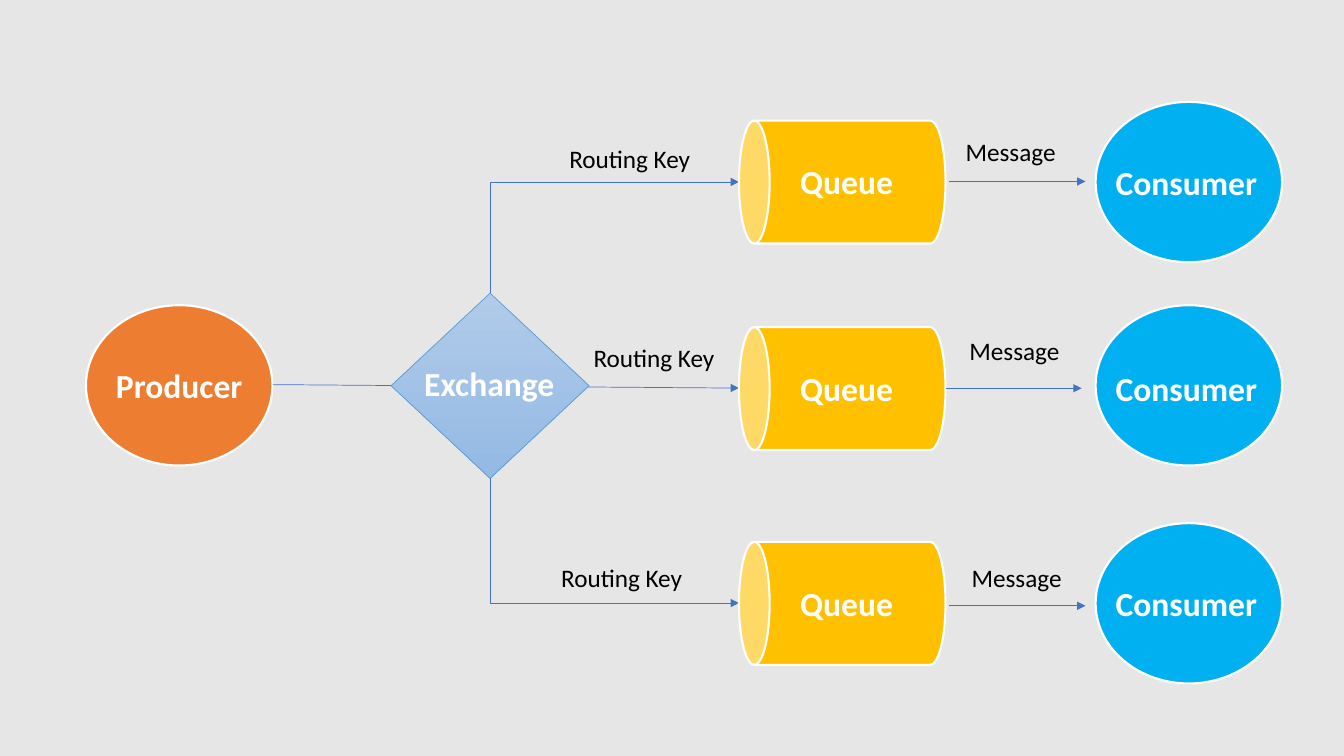
from pptx import Presentation
from pptx.dml.color import RGBColor
from pptx.enum import shapes, text
from pptx.oxml import ns
from pptx.util import Pt
from lxml import etree

BACKGROUND = RGBColor(0xE7, 0xE6, 0xE6)
WHITE = RGBColor(0xFF, 0xFF, 0xFF)
BLACK = RGBColor(0, 0, 0)
ORANGE = RGBColor(0xED, 0x7D, 0x31)
CYAN = RGBColor(0x00, 0xB0, 0xF0)
GOLD = RGBColor(0xFF, 0xC0, 0x00)
ARROW_BLUE = RGBColor(0x44, 0x72, 0xC4)
EDGE_BLUE = RGBColor(0x5B, 0x9B, 0xD5)
GRADIENT = RGBColor(0xB1, 0xCB, 0xE9), RGBColor(0x93, 0xB9, 0xE4)

SHAPE = shapes.MSO_SHAPE
LINE = shapes.MSO_CONNECTOR


def add_node(s, kind, x, y, w, h, fill=None, line=WHITE, weight=1.5):
    sp = s.shapes.add_shape(kind, Pt(x), Pt(y), Pt(w), Pt(h))
    sp.shadow.inherit = False
    if fill is not None:
        sp.fill.solid()
        sp.fill.fore_color.rgb = fill
    sp.line.color.rgb = line
    sp.line.width = Pt(weight)
    return sp


def add_label(s, words, x, y, w, size=24, color=WHITE, bold=True):
    tb = s.shapes.add_textbox(Pt(x), Pt(y), Pt(w), Pt(size * 1.2 + 7.2))
    tf = tb.text_frame
    tf.word_wrap = True
    tf.auto_size = text.MSO_AUTO_SIZE.SHAPE_TO_FIT_TEXT
    tf.text = words
    font = tf.paragraphs[0].runs[0].font
    font.name, font.size, font.bold = "Calibri", Pt(size), bold
    font.color.rgb = color


def add_caption(s, words, x, y, w):
    add_label(s, words, x, y, w, 18, BLACK, False)


def add_arrow(s, x1, y1, x2, y2, kind=LINE.STRAIGHT):
    c = s.shapes.add_connector(kind, Pt(x1), Pt(y1), Pt(x2), Pt(y2))
    c.line.color.rgb = ARROW_BLUE
    c.line.width = Pt(0.5)
    tail = etree.SubElement(c.line._get_or_add_ln(), ns.qn("a:tailEnd"))
    tail.set("type", "triangle")
    etree.SubElement(c._element.spPr, ns.qn("a:effectLst"))
    return c


def add_corner_arrow(s, x1, y1, x2, y2):
    cx, cy = (x1 + x2) / 2, (y1 + y2) / 2
    half_w, half_h = abs(y2 - y1) / 2, (x2 - x1) / 2
    side, angle = (1, 90) if y2 < y1 else (-1, 270)
    c = add_arrow(s, cx + half_w, cy + side * half_h,
                  cx - half_w, cy - side * half_h, LINE.ELBOW)
    spPr = c._element.spPr
    spPr.find(ns.qn("a:xfrm")).set("rot", str(angle * 60000))
    spPr.find(ns.qn("a:prstGeom")).set("prst", "bentConnector2")


def add_producer(s, x, y, w, h):
    add_node(s, SHAPE.OVAL, x, y, w, h, ORANGE)
    add_label(s, "Producer", x + 14.4, y + 38.9, 105)


def add_exchange(s, x, y, w, h, queue_x, top_y, middle_y, bottom_y):
    add_arrow(s, x - 84.4, y + h / 2 - 0.8, queue_x, middle_y)
    sp = add_node(s, SHAPE.FLOWCHART_DECISION, x, y, w, h,
                  line=EDGE_BLUE, weight=0.5)
    sp.fill.gradient()
    sp.fill.gradient_angle = 270
    for stop, color in zip(sp.fill.gradient_stops, GRADIENT):
        stop.color.rgb = color
    add_label(s, "Exchange", x + 16.5, y + 46, 108)
    add_corner_arrow(s, x + w / 2, y, queue_x, top_y)
    add_corner_arrow(s, x + w / 2, y + h, queue_x, bottom_y)


def add_lane(s, x, y, w, h, queue_dy, arrow, routing, message):
    mid = y + h / 2 + queue_dy
    can_w, can_h, oval_w = 87.8, 147.6, 133.2
    can = add_node(s, SHAPE.CAN, x + (can_h - can_w) / 2, mid - can_h / 2,
                   can_w, can_h, GOLD)
    can.rotation = 270
    add_label(s, "Queue", x + 36.7, mid - 18.4, 105)
    oval_x = x + w - oval_w
    add_node(s, SHAPE.OVAL, oval_x, y, oval_w, h, CYAN)
    add_label(s, "Consumer", oval_x + 7.2, mid - 18.2, 119)
    arrow_x, arrow_y = x + arrow[0], mid + arrow[1]
    add_arrow(s, arrow_x, arrow_y, arrow_x + 97.2, arrow_y)
    add_caption(s, "Routing Key", x + routing[0], mid + routing[1], 108)
    add_caption(s, "Message", x + message[0], mid + message[1], 79.2)


def main():
    prs = Presentation()
    prs.slide_width, prs.slide_height = Pt(960), Pt(540)
    s = prs.slides.add_slide(prs.slide_layouts[6])
    s.background.fill.solid()
    s.background.fill.fore_color.rgb = BACKGROUND

    queue_x = 527.8
    add_producer(s, 61.4, 218, 133.2, 114.5)
    add_exchange(s, 279.4, 209.4, 141.4, 132.3, queue_x, 130, 277.2, 430.8)
    lanes = [
        (72.8, 0, (150.4, -0.4), (-128.2, -31.4), (154.8, -36.4)),
        (218, 2.3, (147.6, -0.2), (-110.9, -36.4), (157.6, -41.4)),
        (373.7, 0, (150.4, 1.8), (-134, -32.8), (159.1, -32.8)),
    ]
    for y, *offsets in lanes:
        add_lane(s, queue_x, y, 388, 114.5, *offsets)
    prs.save("out.pptx")


if __name__ == "__main__":
    main()
